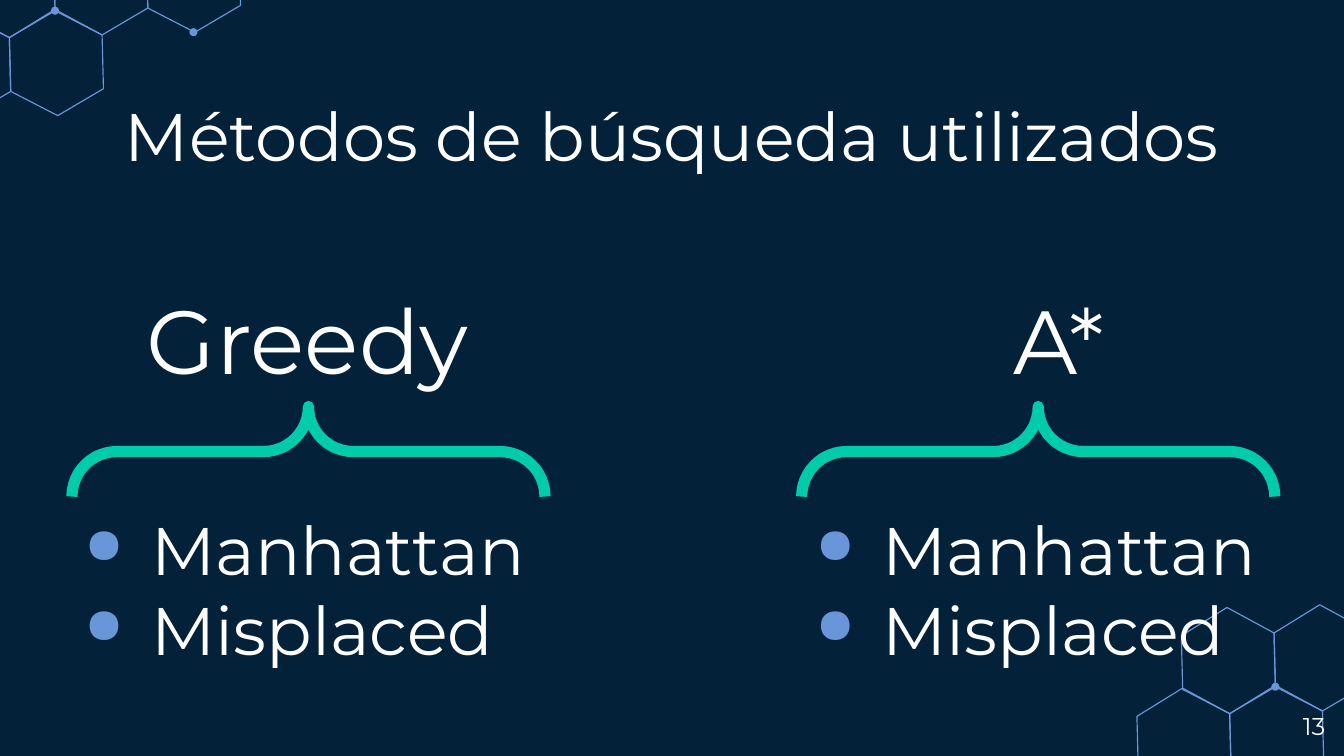
from lxml.etree import SubElement
from pptx import Presentation
from pptx.dml.color import RGBColor
from pptx.enum.shapes import MSO_SHAPE
from pptx.enum.text import MSO_ANCHOR, PP_ALIGN
from pptx.oxml.ns import qn
from pptx.util import Inches, Pt

NAVY, BLUE, GREEN, WHITE = "032138", "6995D9", "00CCAC", "FFFFFF"
HEXAGON = [(0.35, 0.19), (0.34, -0.21), (-0.01, -0.4),
           (-0.35, -0.19), (-0.34, 0.21), (0.01, 0.39)]
COLUMN_STEP, ROW_STEP = (0.69, -0.02), (0.36, 0.58)


def color(value):
    """Turn a hex string into a colour."""
    return RGBColor.from_string(value)


def set_outline(shape, line_color, width):
    """Leave a shape unfilled, with a plain outline."""
    shape.shadow.inherit = False
    shape.fill.background()
    shape.line.color.rgb = color(line_color)
    shape.line.width = Pt(width)


def add_hexagons(slide, origin, cells):
    """Draw hexagons at lattice cells given as column and row."""
    for column, row in cells:
        center_x, center_y = (
            start + column * across + row * down
            for start, across, down in zip(origin, COLUMN_STEP, ROW_STEP))
        points = [(Inches(center_x + x), Inches(center_y + y)) for x, y in HEXAGON]
        builder = slide.shapes.build_freeform(*points[0])
        builder.add_line_segments(points[1:], close=True)
        set_outline(builder.convert_to_shape(), BLUE, 0.61)


def add_node(slide, left, top):
    """Draw a small dot on a corner of the lattice."""
    shape = slide.shapes.add_shape(
        MSO_SHAPE.OVAL, Inches(left), Inches(top), Inches(0.06), Inches(0.06))
    shape.shadow.inherit = False
    shape.fill.solid()
    shape.fill.fore_color.rgb = color(BLUE)
    shape.line.fill.background()


def add_brace(slide, left, top):
    """Draw a thick brace that points up."""
    shape = slide.shapes.add_shape(
        MSO_SHAPE.RIGHT_BRACE, Inches(left), Inches(top), Inches(0.67), Inches(3.52))
    shape.rotation = 270
    shape.adjustments[0] = shape.adjustments[1] = 0.5
    set_outline(shape, GREEN, 6)


def add_bullet(paragraph):
    """Give a paragraph a blue round bullet and a hanging indent."""
    properties = paragraph._p.get_or_add_pPr()
    properties.set("marL", str(Inches(0.5)))
    properties.set("indent", str(Inches(-0.5)))
    bullet_color = SubElement(properties, qn("a:buClr"))
    SubElement(bullet_color, qn("a:srgbClr"), val=BLUE)
    SubElement(properties, qn("a:buSzPct"), val="74000")
    SubElement(properties, qn("a:buChar"), char="●")


def add_text(slide, box, lines, size, align=PP_ALIGN.CENTER,
             anchor=MSO_ANCHOR.TOP, bulleted=False):
    """Add a text box with one paragraph per line."""
    frame = slide.shapes.add_textbox(*map(Inches, box)).text_frame
    inset = Inches(0.1)
    frame_format = {"word_wrap": True, "vertical_anchor": anchor,
                    "margin_left": inset, "margin_right": inset,
                    "margin_top": inset, "margin_bottom": inset}
    for name, value in frame_format.items():
        setattr(frame, name, value)
    frame.text = "\n".join(lines)
    for paragraph in frame.paragraphs:
        paragraph.alignment = align
        if bulleted:
            add_bullet(paragraph)
        for run in paragraph.runs:
            for name, value in {"name": "Montserrat", "size": Pt(size)}.items():
                setattr(run.font, name, value)
            run.font.color.rgb = color(WHITE)


def add_method(slide, heading, heading_left, heading_width, brace_left, list_left):
    """Add a search method with its brace and heuristics."""
    add_text(slide, (heading_left, 1.85, heading_width, 1.17), [heading], 48,
             anchor=MSO_ANCHOR.BOTTOM)
    add_brace(slide, brace_left, 1.6)
    add_text(slide, (list_left, 3.65, 3.83, 1.43), ["Manhattan", "Misplaced"], 36,
             PP_ALIGN.LEFT, MSO_ANCHOR.BOTTOM, bulleted=True)


def main():
    """Build and save the slide."""
    presentation = Presentation()
    presentation.slide_width = Inches(10)
    presentation.slide_height = Inches(10) * 9 // 16
    slide = presentation.slides.add_slide(presentation.slide_layouts[6])
    slide.background.fill.solid()
    slide.background.fill.fore_color.rgb = color(NAVY)

    add_hexagons(slide, (0.06, -0.11), [(0, 0), (1, 0), (2, 0), (-1, 1), (0, 1)])
    add_hexagons(slide, (9.14, 4.92), [(0, 0), (1, 0), (-1, 1), (0, 1)])
    for left, top in [(0.38, 0.05), (1.41, 0.21), (9.46, 5.08)]:
        add_node(slide, left, top)

    add_text(slide, (0.28, 0.6, 9.44, 0.63), ["Métodos de búsqueda utilizados"], 36)
    add_method(slide, "Greedy", 0.56, 3.46, 1.96, 0.53)
    add_method(slide, "A*", 6.04, 3.68, 7.39, 5.97)
    add_text(slide, (9.36, 5.19, 0.6, 0.43), ["13"], 13, PP_ALIGN.RIGHT)
    presentation.save("out.pptx")


if __name__ == "__main__":
    main()
